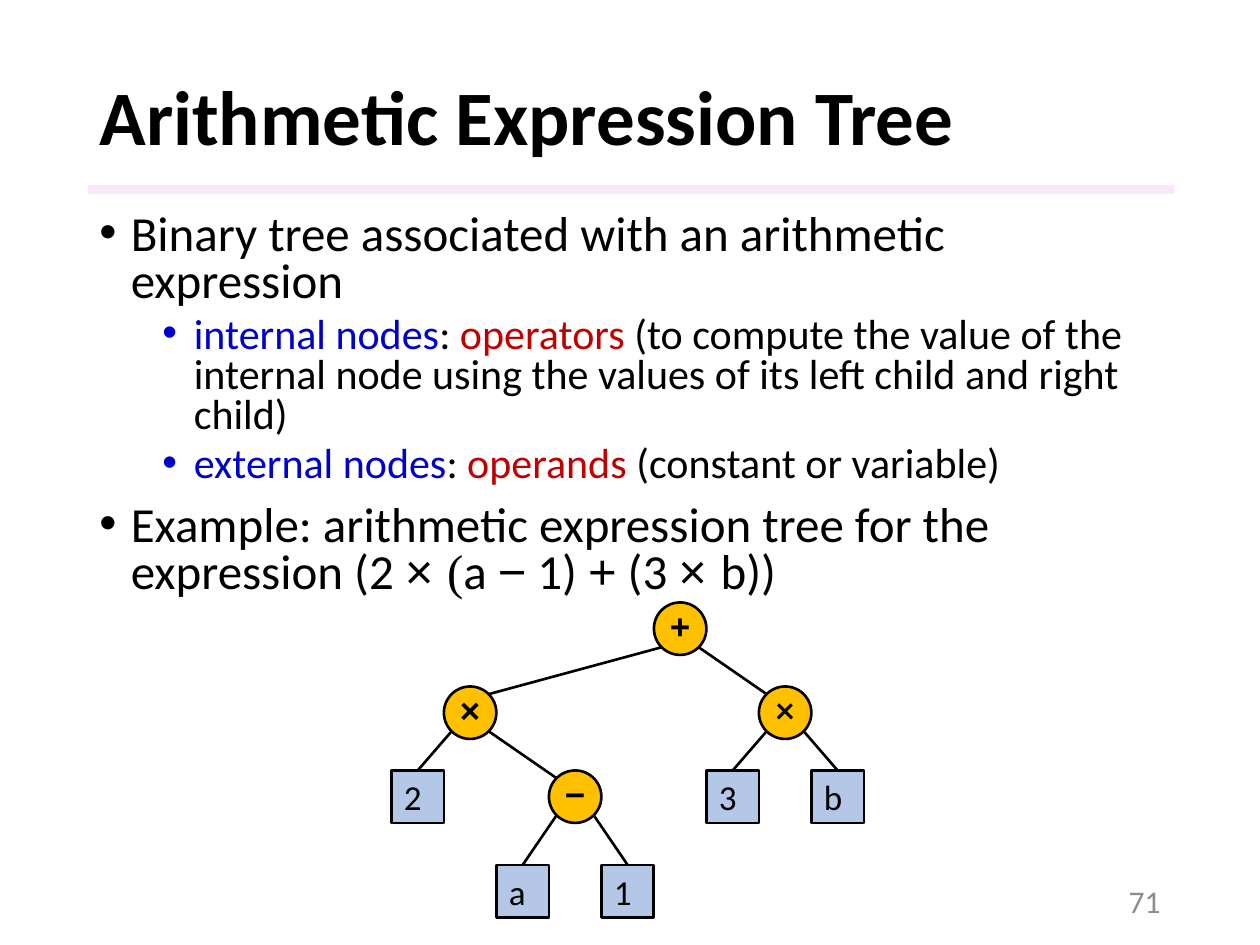
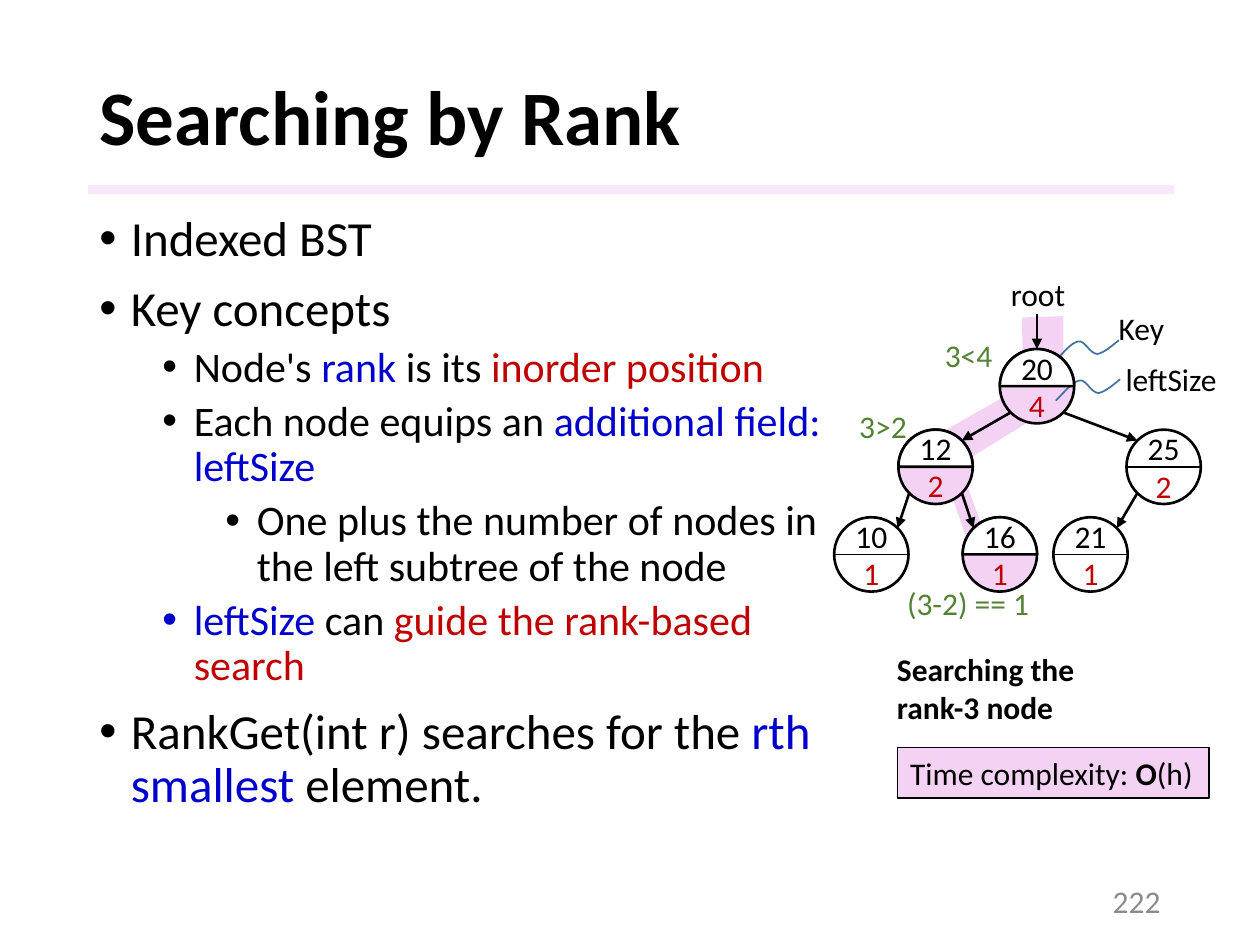
from typing import NamedTuple

from lxml.etree import SubElement
from pptx import Presentation
from pptx.dml.color import RGBColor
from pptx.enum.shapes import MSO_CONNECTOR, MSO_SHAPE
from pptx.enum.text import MSO_ANCHOR, MSO_AUTO_SIZE, PP_ALIGN
from pptx.oxml.ns import qn
from pptx.util import Emu, Inches, Pt

WIDE, HIGH = Inches(10), Inches(7.5)
UNIT = WIDE / 100
INK = {
    "black": "000000", "white": "FFFFFF", "blue": "0000CC", "red": "C00000",
    "green": "548235", "gray": "8C8C8C", "pink": "F3D2F4", "gold": "FFC000",
    "sky": "B4C7E7", "wave": "43739E",
}
LEFT, MID, RIGHT = PP_ALIGN.LEFT, PP_ALIGN.CENTER, PP_ALIGN.RIGHT
TOP, CORE = MSO_ANCHOR.TOP, MSO_ANCHOR.MIDDLE
SIZES = (28, 24, 24)
DIAG = 0.5 ** 0.5
BEND = 0.55
PAD = (1, 0.5, 1, 0.5)
SNUG = (0, 0.5, 0, 0.5)


class Box(NamedTuple):
    x: float
    y: float
    w: float
    h: float


class Run(NamedTuple):
    text: str
    ink: str = ""
    font: str = ""
    bold: bool = False


class Line(NamedTuple):
    runs: list
    level: int = -1


class Node(NamedTuple):
    x: float
    y: float
    r: float
    key: str
    size: str = ""
    hot: bool = False
    leaf: bool = False
    font: str = "Arial"


class Edge(NamedTuple):
    top: str
    low: str
    side: int


class Label(NamedTuple):
    text: str
    box: Box
    ink: str = "black"
    bold: bool = False
    wrap: bool = False


def grid(value: float) -> Emu:
    return Emu(round(value * UNIT))


def tint(name: str) -> RGBColor:
    return RGBColor.from_string(INK[name])


def bullet(para, level: int) -> None:
    props = para._p.get_or_add_pPr()
    props.set("marL", str(Inches(0.25 + 0.5 * level)))
    props.set("indent", str(Inches(-0.25)))
    SubElement(props, qn("a:buFont")).set("typeface", "Arial")
    SubElement(props, qn("a:buChar")).set("char", "•")


def write(shape, lines: list, *, size=18, ink="black", font="Calibri", bold=False,
          align=LEFT, anchor=TOP, pad=PAD, wrap=True, space=None) -> None:
    frame = shape.text_frame
    frame.auto_size = MSO_AUTO_SIZE.NONE
    frame.word_wrap = wrap
    frame.vertical_anchor = anchor
    (frame.margin_left, frame.margin_top,
     frame.margin_right, frame.margin_bottom) = map(grid, pad)
    for i, line in enumerate(lines):
        para = frame.add_paragraph() if i else frame.paragraphs[0]
        para.alignment = align
        if space:
            para.line_spacing = space
        if line.level >= 0:
            para.space_before = Pt((5 if line.level else 10) if i else 0)
            para.level = line.level
            bullet(para, line.level)
        for part in line.runs:
            run = para.add_run()
            run.text = part.text
            face = run.font
            face.size = Pt(SIZES[line.level] if line.level >= 0 else size)
            face.name = part.font or font
            face.bold = part.bold or bold
            face.color.rgb = tint(part.ink or ink)


def plain(text: str, ink: str = "") -> Line:
    return Line([Run(text, ink)])


def paint(shape, fill: str = "", line: str = "", width: float = 1.5):
    shape.shadow.inherit = False
    if fill:
        shape.fill.solid()
        shape.fill.fore_color.rgb = tint(fill)
    else:
        shape.fill.background()
    if line:
        shape.line.color.rgb = tint(line)
        shape.line.width = Pt(width)
    else:
        shape.line.fill.background()
    return shape


def block(slide, kind, box: Box, fill: str, line: str = "", width: float = 1.5):
    shape = slide.shapes.add_shape(kind, *map(grid, box))
    return paint(shape, fill, line, width)


def label(slide, box: Box, lines: list, **form) -> None:
    write(slide.shapes.add_textbox(*map(grid, box)), lines, **form)


def outline(slide, spots: list, close: bool = True):
    dots = [(grid(x), grid(y)) for x, y in spots]
    build = slide.shapes.build_freeform(*dots[0], scale=1.0)
    build.add_line_segments(dots[1:], close=close)
    return build.convert_to_shape()


def curve(slide, knots: list, close: bool = True):
    shape = outline(slide, knots, close)
    legs = list(shape._element.iter(qn("a:lnTo")))[:len(knots) - 1]
    for i in range(0, len(legs), 3):
        first, *rest = legs[i:i + 3]
        first.tag = qn("a:cubicBezTo")
        for leg in rest:
            first.append(leg[0])
            leg.getparent().remove(leg)
    return shape


def link(slide, start: tuple, end: tuple, width: float = 1.5, arrow: bool = False):
    line = slide.shapes.add_connector(
        MSO_CONNECTOR.STRAIGHT, *map(grid, (*start, *end)))
    line.line.color.rgb = tint("black")
    line.line.width = Pt(width)
    if arrow:
        SubElement(line.line._get_or_add_ln(), qn("a:tailEnd")).set("type", "triangle")
    SubElement(line._element.spPr, qn("a:effectLst"))
    return line


def join(slide, nodes: dict, shapes: dict, edges: list, arrow: bool = False) -> None:
    for edge in edges:
        top, low = nodes[edge.top], nodes[edge.low]
        reach, drop = edge.side * top.r * DIAG, low.r * DIAG
        start = (top.x + reach, top.y + top.r * DIAG)
        end = (low.x, low.y - low.r) if low.leaf else (
            low.x - edge.side * drop, low.y - drop)
        line = link(slide, start, end, arrow=arrow)
        if low.leaf:
            line.end_connect(shapes[edge.low], 0)


def bounds(node: Node) -> Box:
    return Box(node.x - node.r, node.y - node.r, 2 * node.r, 2 * node.r)


def sign(slide, node: Node):
    kind = MSO_SHAPE.RECTANGLE if node.leaf else MSO_SHAPE.OVAL
    shape = block(slide, kind, bounds(node), "sky" if node.leaf else "gold", "black")
    write(shape, [plain(node.key)], size=20, anchor=CORE, wrap=False,
          align=LEFT if node.leaf else MID, bold=not node.leaf,
          font="Calibri" if node.leaf else node.font,
          pad=PAD if node.leaf else (0, 0, 0, 0.5))
    return shape


def rank(slide, node: Node) -> None:
    ball = block(slide, MSO_SHAPE.OVAL, bounds(node),
                 "pink" if node.hot else "white", "black")
    size = plain(node.size, "red")
    if node.hot:
        write(ball, [size], align=MID, anchor=CORE, pad=(0, node.r, 0, 0))
    else:
        write(ball, [plain(node.key), size], align=MID, anchor=CORE, pad=SNUG)
    link(slide, (node.x - node.r, node.y), (node.x + node.r, node.y), 1)


def cap(slide, node: Node) -> None:
    arc = [(1, 0), (1, BEND), (BEND, 1), (0, 1), (-BEND, 1), (-1, BEND), (-1, 0)]
    dome = curve(slide, [(node.x + node.r * x, node.y - node.r * y) for x, y in arc])
    write(paint(dome, "white", "black"), [plain(node.key)],
          align=MID, anchor=CORE, pad=SNUG)


def start(deck, title: str, page: str):
    slide = deck.slides.add_slide(deck.slide_layouts[5])
    band = block(slide, MSO_SHAPE.RECTANGLE, Box(7, 14.7, 86.2, 0.7), "pink")
    hue = band._element.spPr.find(qn("a:solidFill"))[0]
    SubElement(hue, qn("a:alpha")).set("val", "50000")
    head = slide.shapes.title
    head.left, head.top, head.width, head.height = map(grid, Box(6.9, 4, 86.2, 11.1))
    write(head, [plain(title)], size=44, bold=True, anchor=CORE, space=0.9)
    label(slide, Box(70.6, 69.5, 22.5, 4), [plain(page)],
          ink="gray", align=RIGHT, anchor=CORE)
    return slide


MATH = [
    Line([Run("Binary tree associated with an arithmetic expression")], 0),
    Line([Run("internal nodes", "blue"), Run(": "), Run("operators", "red"),
          Run(" (to compute the value of the internal node using the values "
              "of its left child and right child)")], 1),
    Line([Run("external nodes", "blue"), Run(": "), Run("operands", "red"),
          Run(" (constant or variable)")], 1),
    Line([Run("Example: arithmetic expression tree for the expression (2 "),
          Run("× ", font="Arial"), Run("(", font="Times New Roman"), Run("a "),
          Run("−", font="Arial"), Run(" 1) "), Run("+", font="Arial"), Run(" (3 "),
          Run("× ", font="Arial"), Run("b))")], 0),
]
INDEX = [
    Line([Run("Indexed BST")], 0),
    Line([Run("Key concepts")], 0),
    Line([Run("Node's "), Run("rank", "blue"), Run(" is its "),
          Run("inorder position", "red")], 1),
    Line([Run("Each node equips an "), Run("additional field: leftSize", "blue")], 1),
    Line([Run("One plus the number of nodes in the left subtree of the node")], 2),
    Line([Run("leftSize ", "blue"), Run("can "),
          Run("guide the rank-based search", "red")], 1),
    Line([Run("RankGet(int r) searches for the "), Run("rth smallest", "blue"),
          Run(" element.")], 0),
]
TRAIL = [
    (81.2, 29.4), (80.2, 31.2), (73.9, 34.8), (75.5, 39.2), (77.2, 44.2),
    (78.6, 45.4), (79.1, 45.7), (79.7, 46.3), (80.6, 46.4), (80.3, 45.2),
    (79.8, 45.2), (80.1, 45.2), (78.6, 42.1), (78.1, 42.2), (75.9, 36.2),
    (76.6, 36.6), (82.1, 33.2), (84.4, 29.5), (84.4, 25.1), (81.1, 25.2),
]
WAVE = [(83.8, 31.8), (84.5, 31.1), (85.1, 30.3), (85.7, 30.2), (86.2, 30.1),
        (86.6, 31.2), (87.2, 31.2), (87.7, 31.1), (88.3, 30.6), (88.9, 30.1)]
LABELS = [
    Label("Key", Box(87.8, 24, 5.7, 4)),
    Label("leftSize", Box(88.35, 28.1, 9.4, 4)),
    Label("root", Box(79.25, 21.35, 6.4, 4)),
    Label("3<4", Box(74, 26.2, 5.8, 4), "green"),
    Label("3>2", Box(67.2, 31.8, 5.8, 4), "green"),
    Label("(3-2) == 1", Box(71, 45.85, 11.9, 4), "green"),
    Label("Searching the rank-3 node", Box(70.2, 51.1, 21.1, 7.1), bold=True, wrap=True),
]


def math_tree(deck) -> None:
    slide = start(deck, "Arithmetic Expression Tree", "71")
    label(slide, Box(6.9, 16.5, 86.2, 32.6), MATH, space=0.8)
    step = 100 / 24
    plan = {
        "sum": (5, 0, "+"), "right": (7, 1.6, "×"), "left": (1, 1.6, "×"),
        "minus": (3, 3.2, "−"), "two": (0, 3.2, "2"), "a": (2, 5, "a"),
        "one": (4, 5, "1"), "three": (6, 3.2, "3"), "b": (8, 3.2, "b"),
    }
    nodes = {
        name: Node(33.15 + col * step, 49.9 + row * step, step / 2, key,
                   leaf=key.isalnum(), font="Lato" if name == "right" else "Arial")
        for name, (col, row, key) in plan.items()
    }
    shapes = {name: sign(slide, node) for name, node in nodes.items()}
    join(slide, nodes, shapes, [
        Edge("sum", "left", -1), Edge("sum", "right", 1), Edge("left", "two", -1),
        Edge("left", "minus", 1), Edge("minus", "a", -1), Edge("minus", "one", 1),
        Edge("right", "three", -1), Edge("right", "b", 1),
    ])


def rank_tree(deck) -> None:
    slide = start(deck, "Searching by Rank", "222")
    paint(outline(slide, TRAIL), "pink")
    label(slide, Box(6.9, 16.5, 59.3, 54.1), INDEX, space=0.9)
    rows = (30.65, 37.05, 44)
    plan = [(69.15, 2, "10", "1", False), (79.35, 2, "16", "1", True),
            (74.25, 1, "12", "2", True), (86.55, 2, "21", "1", False),
            (92.35, 1, "25", "2", False), (82.3, 0, "20", "4", True)]
    nodes = {key: Node(x, rows[row], 2.95, key, size, hot)
             for x, row, key, size, hot in plan}
    for node in nodes.values():
        rank(slide, node)
    join(slide, nodes, {}, [
        Edge("20", "12", -1), Edge("20", "25", 1), Edge("12", "10", -1),
        Edge("12", "16", 1), Edge("25", "21", -1),
    ], arrow=True)
    root = nodes["20"]
    link(slide, (root.x, 24.9), (root.x, root.y - root.r), arrow=True)
    for dx, dy in ((0, 0), (-0.1, -3.1)):
        knots = [(x + dx, y + dy) for x, y in WAVE]
        paint(curve(slide, knots, close=False), line="wave", width=1)
    for item in LABELS:
        label(slide, item.box, [plain(item.text)],
              ink=item.ink, bold=item.bold, wrap=item.wrap)
    for node in nodes.values():
        if node.hot:
            cap(slide, node)
    cost = block(slide, MSO_SHAPE.RECTANGLE, Box(71.25, 59.35, 24.7, 4),
                 "pink", "black", 0.75)
    write(cost, [Line([Run("Time complexity: "), Run("O", bold=True), Run("(h)")])],
          wrap=False)


def main() -> None:
    deck = Presentation()
    deck.slide_width, deck.slide_height = WIDE, HIGH
    math_tree(deck)
    rank_tree(deck)
    deck.save("out.pptx")


if __name__ == "__main__":
    main()
